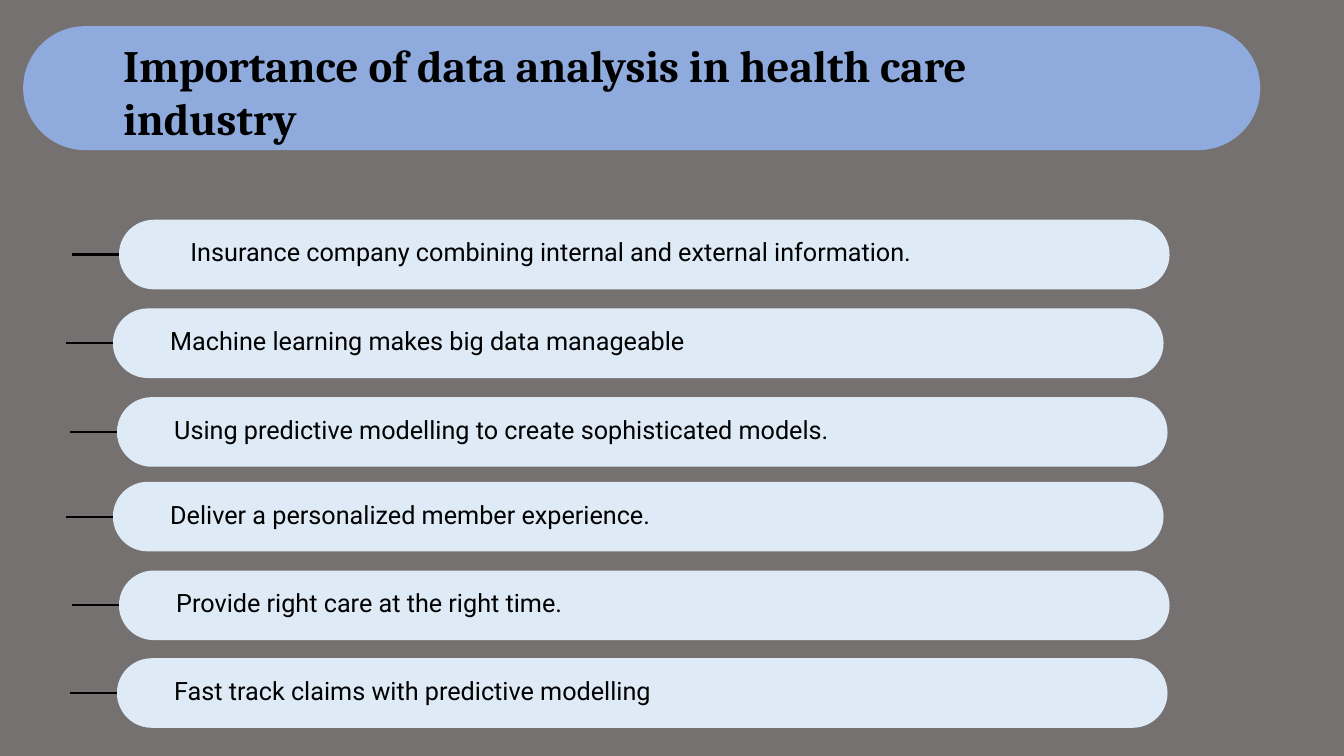
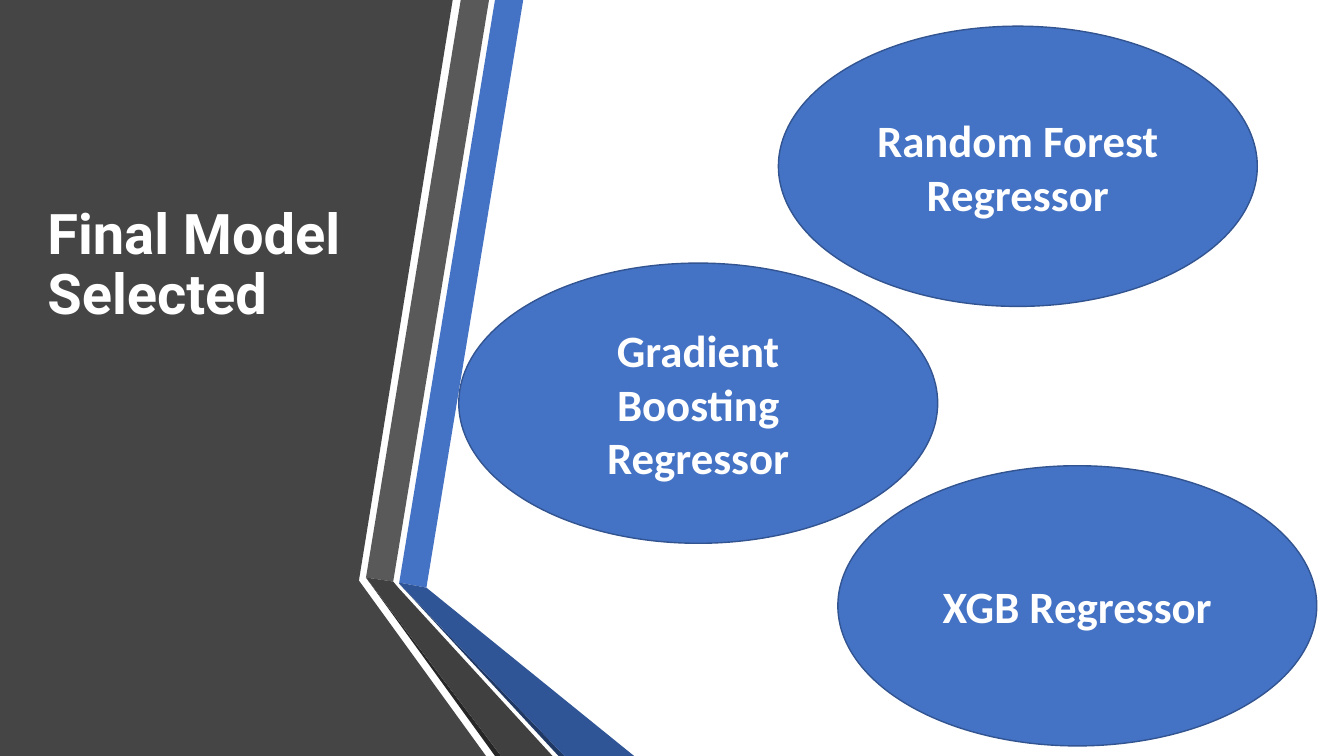
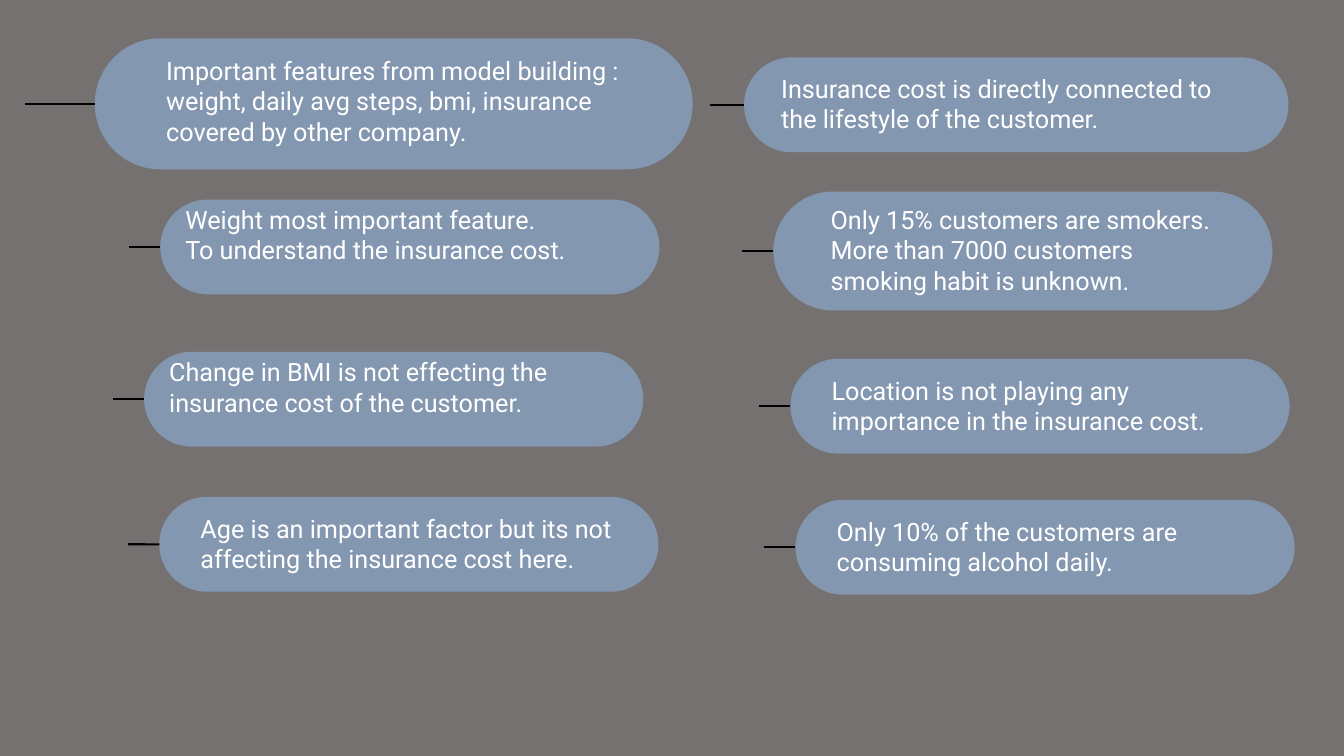
from lxml import etree
from pptx import Presentation
from pptx import util as u
from pptx.dml.color import RGBColor
from pptx.enum import shapes, text
from pptx.oxml import ns

Inches = u.Inches
BLACK = RGBColor(0x00, 0x00, 0x00)
WHITE = RGBColor(0xFF, 0xFF, 0xFF)
GREY = RGBColor(0x76, 0x71, 0x71)
BAND_BLUE = RGBColor(0x8F, 0xAA, 0xDC)
PALE_BLUE = RGBColor(0xDE, 0xEB, 0xF7)
SLATE = RGBColor(0x84, 0x97, 0xB0)
CHARCOAL = RGBColor(0x45, 0x45, 0x45)
BLUE = RGBColor(0x44, 0x72, 0xC4)
OUTLINE_BLUE = RGBColor(0x32, 0x54, 0x91)
MID_GREY = RGBColor(0x59, 0x59, 0x59)
DARK_GREY = RGBColor(0x40, 0x40, 0x40)
NEAR_BLACK = RGBColor(0x26, 0x26, 0x26)
NAVY = RGBColor(0x20, 0x38, 0x64)
DEEP_BLUE = RGBColor(0x2F, 0x55, 0x97)
TITLE_ONLY, BLANK = 5, 6


def write_text(box, words, size=18, font="Roboto", color=BLACK, bold=False,
               align=text.PP_ALIGN.LEFT, anchor=text.MSO_ANCHOR.TOP,
               spacing=1.0, after=0):
    frame = box.text_frame
    frame.text = words
    frame.word_wrap = True
    frame.auto_size = text.MSO_AUTO_SIZE.NONE
    frame.vertical_anchor = anchor
    for para in frame.paragraphs:
        para.alignment = align
        para.line_spacing = spacing
        para.space_after = u.Pt(after)
        for span in para.runs:
            span.font.name = font
            span.font.size = u.Pt(size)
            span.font.bold = bold
            span.font.color.rgb = color


def add_pill(slide, left, top, width, height, fill, tail=0):
    pill = slide.shapes.add_shape(
        shapes.MSO_SHAPE.ROUNDED_RECTANGLE,
        Inches(left), Inches(top), Inches(width), Inches(height))
    pill.adjustments[0] = 0.5
    pill.shadow.inherit = False
    pill.fill.solid()
    pill.fill.fore_color.rgb = fill
    pill.line.fill.background()
    if tail:
        middle = Inches(top + height / 2)
        line = slide.shapes.add_connector(
            shapes.MSO_CONNECTOR.STRAIGHT,
            Inches(left - tail), middle, Inches(left), middle)
        line.end_connect(pill, 1)
        line.line.color.rgb = BLACK
        line.line.width = u.Pt(1.5)
        etree.SubElement(line.element.spPr, ns.qn("a:effectLst"))
    return pill


deck = Presentation()
deck.slide_width, deck.slide_height = Inches(13.33), Inches(7.5)

# Slides and their backgrounds
importance, models, findings = [
    deck.slides.add_slide(deck.slide_layouts[layout])
    for layout in (TITLE_ONLY, TITLE_ONLY, BLANK)]
for slide, color in ((importance, GREY), (models, WHITE), (findings, GREY)):
    slide.background.fill.solid()
    slide.background.fill.fore_color.rgb = color

# Titles
title_places = (
    (importance, "Importance of data analysis in health care industry",
     (1.12, 0.32, 10, 1.18), dict(size=32, font="Cambria")),
    (models, "Final Model Selected",
     (0.37, 1.99, 3.6, 1.7),
     dict(size=40, color=WHITE, spacing=0.9, after=6)),
)
for slide, words, place, style in title_places:
    title = slide.shapes.title
    title.left, title.top, title.width, title.height = map(Inches, place)
    write_text(title, words, bold=True, **style)

# Importance: title band behind the title
band = add_pill(importance, 0.23, 0.26, 12.27, 1.23, BAND_BLUE)
importance.shapes.title.element.addprevious(band.element)

# Importance: six reasons (left, top, text indent, words)
reasons = (
    (1.18, 2.18, 0.61, "Insurance company combining internal and external information."),
    (1.12, 3.06, 0.47, "Machine learning makes big data manageable"),
    (1.16, 3.94, 0.47, "Using predictive modelling to create sophisticated models."),
    (1.12, 4.78, 0.47, "Deliver a personalized member experience."),
    (1.18, 5.66, 0.47, "Provide right care at the right time."),
    (1.16, 6.53, 0.47, "Fast track claims with predictive modelling"),
)
for left, top, indent, words in reasons:
    add_pill(importance, left, top, 10.42, 0.69, PALE_BLUE, tail=0.47)
    box = importance.shapes.add_textbox(
        Inches(left + indent), Inches(top + 0.12), Inches(7.63), Inches(0.4))
    write_text(box, words)

# Models: side panel and folded ribbons
outlines = (
    (CHARCOAL, ((0, 0), (4.49, 0), (3.56, 5.76), (4.82, 7.5), (0, 7.5))),
    (BLUE, ((3.96, 5.78), (4.23, 5.83), (5.19, 0), (4.91, 0))),
    (MID_GREY, ((4.85, 0), (4.57, 0), (3.63, 5.73), (3.9, 5.77))),
    (NEAR_BLACK, ((3.63, 5.73), (4.91, 7.5), (4.97, 7.5))),
    (NAVY, ((3.96, 5.79), (5.54, 7.5), (5.6, 7.5))),
    (DEEP_BLUE, ((3.96, 5.79), (5.6, 7.5), (6.29, 7.5), (4.23, 5.83), (3.96, 5.78))),
    (DARK_GREY, ((5.48, 7.5), (3.95, 5.83), (3.9, 5.77), (3.63, 5.73), (4.97, 7.5))),
)
for color, points in outlines:
    corners = [(Inches(x), Inches(y)) for x, y in points]
    builder = models.shapes.build_freeform(*corners[0])
    builder.add_line_segments(corners[1:], close=True)
    ribbon = builder.convert_to_shape()
    ribbon.shadow.inherit = False
    ribbon.fill.solid()
    ribbon.fill.fore_color.rgb = color
    ribbon.line.fill.background()
    models.shapes.title.element.addprevious(ribbon.element)

# Models: one ellipse per regressor
regressors = (
    (7.72, 0.26, "Random Forest Regressor"),
    (4.55, 2.61, "Gradient Boosting Regressor"),
    (8.31, 4.62, "XGB Regressor"),
)
for left, top, words in regressors:
    ellipse = models.shapes.add_shape(
        shapes.MSO_SHAPE.OVAL, Inches(left), Inches(top), Inches(4.75), Inches(2.78))
    ellipse.shadow.inherit = False
    ellipse.fill.solid()
    ellipse.fill.fore_color.rgb = BLUE
    ellipse.line.color.rgb = OUTLINE_BLUE
    ellipse.line.width = u.Pt(1)
    write_text(ellipse, words, size=32, font="Calibri", color=WHITE, bold=True,
               align=text.PP_ALIGN.CENTER, anchor=text.MSO_ANCHOR.MIDDLE)

# Findings: pill (left, top, width, height), tail, text (indent, drop, width), words
facts = (
    ((0.94, 0.38, 5.93, 1.3), 0.69, (0.61, 0.12, 4.97),
     "Important features from model building : weight, daily avg steps, bmi, "
     "insurance covered by other company."),
    ((1.59, 1.98, 4.95, 0.94), 0.31, (0.15, 0, 4.64),
     "Weight most important feature.\nTo understand the insurance cost."),
    ((7.38, 0.57, 5.4, 0.94), 0.34, (0.27, 0.11, 4.86),
     "Insurance cost is directly connected to the lifestyle of the customer."),
    ((7.67, 1.9, 4.95, 1.18), 0.31, (0.47, 0.08, 4.15),
     "Only 15% customers are smokers. More than 7000 customers smoking habit is unknown."),
    ((1.43, 3.49, 4.95, 0.94), 0.31, (0.15, 0, 4.64),
     "Change in BMI is not effecting the insurance cost of the customer."),
    ((7.84, 3.56, 4.95, 0.94), 0.31, (0.31, 0.11, 4.43),
     "Location is not playing any importance in the insurance cost."),
    ((1.58, 4.93, 4.95, 0.94), 0.31, (0.31, 0.11, 4.43),
     "Age is an important factor but its not affecting the insurance cost here."),
    ((7.89, 4.96, 4.95, 0.94), 0.31, (0.31, 0.11, 4.43),
     "Only 10% of the customers are consuming alcohol daily."),
)
for place, tail, (indent, drop, width), words in facts:
    add_pill(findings, *place, SLATE, tail=tail)
    box = findings.shapes.add_textbox(
        Inches(place[0] + indent), Inches(place[1] + drop),
        Inches(width), Inches(place[3] - 2 * drop))
    write_text(box, words, color=WHITE)

deck.save("out.pptx")
